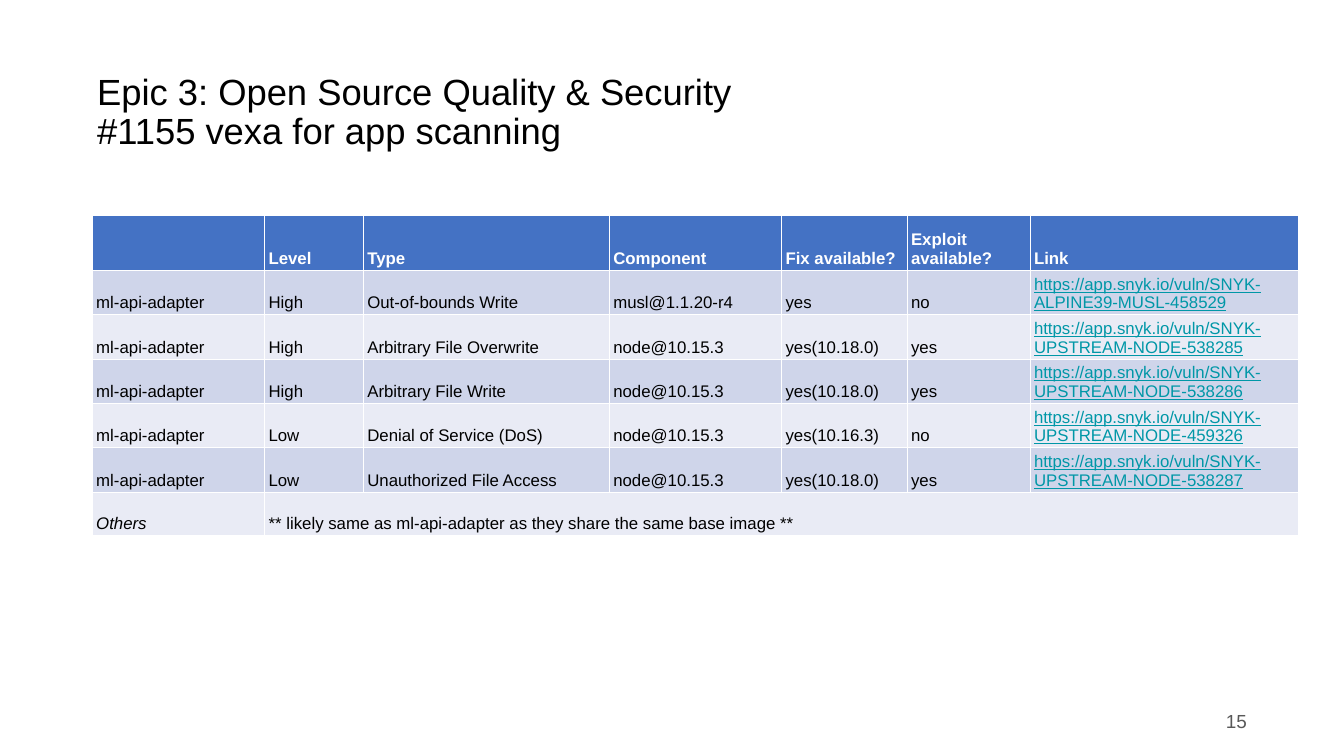
from dataclasses import dataclass

from lxml.etree import SubElement
from pptx import Presentation
from pptx.dml.color import RGBColor as Color
from pptx.enum.text import MSO_VERTICAL_ANCHOR as Anchor, PP_PARAGRAPH_ALIGNMENT as Align
from pptx.oxml.ns import qn
from pptx.util import Emu, Pt

PX = 9144
DECK_SIZE = (2667, 1500)
TABLE_ORIGIN = (183, 428)
COLUMNS = (342, 196, 488, 342, 249, 244, 532)
ROWS = (108, 86, 86, 86, 85, 85, 86)


@dataclass(frozen=True)
class Theme:
    """Colours, type sizes and line widths of the slide."""
    font: str = "Arial"
    ink: str = "000000"
    muted: str = "595959"
    white: str = "FFFFFF"
    link: str = "0097A7"
    header: str = "4472C4"
    bands: tuple = ("CFD5EA", "E9EBF5")
    title_size: int = 52
    number_size: int = 27
    cell_size: int = 24
    thin: float = 0.75
    thick: float = 1.95


THEME = Theme()
TITLE = "Epic 3: Open Source Quality & Security\v#1155 vexa for app scanning"
HEADER = ("", "Level", "Type", "Component", "Fix available?", "Exploit available?", "Link")
SERVICE = "ml-api-adapter"
NODE = "node@10.15.3"
LINK_BASE = "https://app.snyk.io/vuln/SNYK-"
FINDINGS = (
    ("High", "Out-of-bounds Write", "musl@1.1.20-r4", "yes", "no", "ALPINE39-MUSL-458529"),
    ("High", "Arbitrary File Overwrite", NODE, "yes(10.18.0)", "yes", "UPSTREAM-NODE-538285"),
    ("High", "Arbitrary File Write", NODE, "yes(10.18.0)", "yes", "UPSTREAM-NODE-538286"),
    ("Low", "Denial of Service (DoS)", NODE, "yes(10.16.3)", "no", "UPSTREAM-NODE-459326"),
    ("Low", "Unauthorized File Access", NODE, "yes(10.18.0)", "yes", "UPSTREAM-NODE-538287"),
)
OTHERS = ("Others", "** likely same as ml-api-adapter as they share the same base image **")


def px(length):
    """Turn px into EMU."""
    return Emu(length * PX)


def set_all(target, values):
    """Set every attribute named in a dict."""
    for name, value in values.items():
        setattr(target, name, value)


def write(para, text, size, color, **style):
    """Write a paragraph in the theme font."""
    para.text = text
    for span in para.runs:
        set_all(span.font, {"name": THEME.font, "size": Pt(size), "bold": False, **style})
        span.font.color.rgb = Color.from_string(color)


def add_text(page, place, text, size, color, **para_format):
    """Add a wrapped, vertically centred text box."""
    frame = page.shapes.add_textbox(*map(px, place)).text_frame
    set_all(frame, {
        "word_wrap": True, "vertical_anchor": Anchor.MIDDLE,
        "margin_left": px(10), "margin_right": px(10),
        "margin_top": px(5), "margin_bottom": px(5),
    })
    para = frame.paragraphs[0]
    set_all(para, para_format)
    write(para, text, size, color)


def add_borders(cell, top, bottom):
    """Draw white lines on the four sides of a cell."""
    sides = {"a:lnL": THEME.thin, "a:lnR": THEME.thin, "a:lnT": top, "a:lnB": bottom}
    for tag, width in sides.items():
        line = SubElement(cell._tc.get_or_add_tcPr(), qn(tag), w=str(Pt(width)))
        fill = SubElement(line, qn("a:solidFill"))
        SubElement(fill, qn("a:srgbClr"), val=THEME.white)


def style_cell(cell, row):
    """Give a cell its margins, borders and band colour."""
    set_all(cell, {
        "vertical_anchor": Anchor.BOTTOM,
        "margin_left": px(8), "margin_right": px(8),
        "margin_top": px(4), "margin_bottom": px(4),
    })
    add_borders(cell, THEME.thick if row == 1 else THEME.thin,
                THEME.thick if row == 0 else THEME.thin)
    cell.fill.solid()
    color = THEME.bands[(row - 1) % 2] if row else THEME.header
    cell.fill.fore_color.rgb = Color.from_string(color)


def cell_format(row, column):
    """Return the text colour and style for a table position."""
    if row == 0:
        return {"color": THEME.white, "bold": True}
    if row == len(ROWS) - 1:
        return {"color": THEME.ink, "italic": column == 0}
    if column == len(COLUMNS) - 1:
        return {"color": THEME.link, "underline": True}
    return {"color": THEME.ink}


def add_findings(page):
    """Add the table of scan findings."""
    size = (sum(COLUMNS), sum(ROWS))
    table = page.shapes.add_table(
        len(ROWS), len(COLUMNS), *map(px, TABLE_ORIGIN + size)).table
    set_all(table, {"first_row": False, "horz_banding": False})
    for column, width in zip(table.columns, COLUMNS):
        column.width = px(width)
    for row, height in zip(table.rows, ROWS):
        row.height = px(height)
    body = [(SERVICE, *finding[:-1], LINK_BASE + finding[-1]) for finding in FINDINGS]
    for row, texts in enumerate([HEADER, *body, OTHERS]):
        for column in range(len(COLUMNS)):
            style_cell(table.cell(row, column), row)
        for column, text in enumerate(texts):
            para = table.cell(row, column).text_frame.paragraphs[0]
            write(para, text, THEME.cell_size, **cell_format(row, column))
    last = len(ROWS) - 1
    table.cell(last, 1).merge(table.cell(last, len(COLUMNS) - 1))


def main():
    """Build and save the slide."""
    deck = Presentation()
    deck.slide_width, deck.slide_height = map(px, DECK_SIZE)
    page = deck.slides.add_slide(deck.slide_layouts[6])
    add_text(page, (183, 80, 2300, 290), TITLE, THEME.title_size, THEME.ink, line_spacing=0.9)
    add_text(page, (1884, 1390, 600, 80), "15", THEME.number_size, THEME.muted,
             alignment=Align.RIGHT)
    add_findings(page)
    deck.save("out.pptx")


if __name__ == "__main__":
    main()
